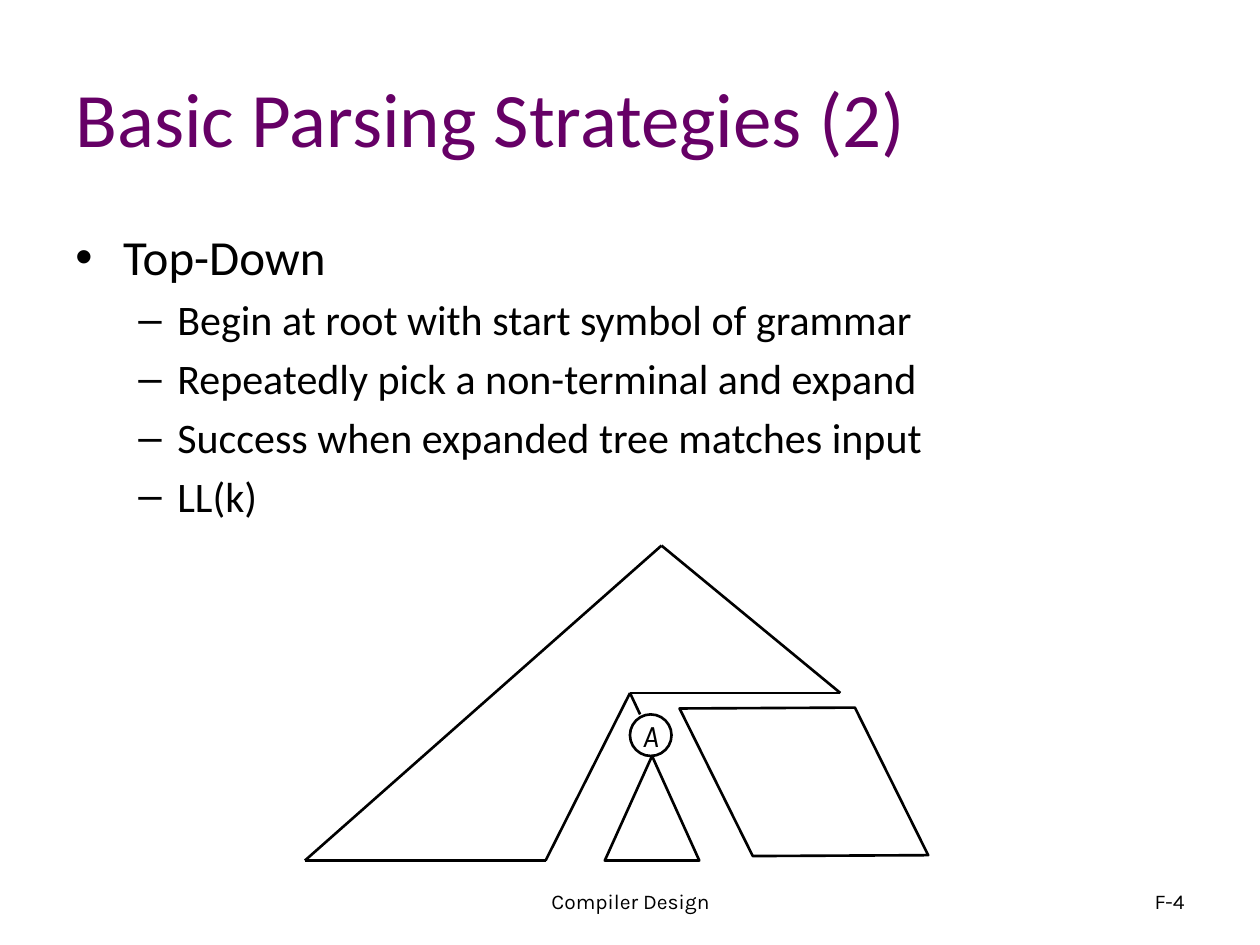
from dataclasses import dataclass
from itertools import pairwise
from lxml.etree import SubElement
from pptx import Presentation
from pptx.dml.color import RGBColor
from pptx.enum.shapes import MSO_CONNECTOR, MSO_SHAPE
from pptx.enum.text import MSO_ANCHOR, PP_ALIGN
from pptx.oxml.ns import qn
from pptx.util import Inches, Pt


@dataclass(frozen=True)
class Theme:
    ink: RGBColor = RGBColor(0x00, 0x00, 0x00)
    plum: RGBColor = RGBColor(0x66, 0x00, 0x66)
    main: str = "Calibri"
    side: str = "Karla"
    title: int = 44
    head: int = 28
    item: int = 24
    node: int = 18
    foot: int = 12
    line: float = 1.5


def write(para, text, font, size, color, italic=False, align=PP_ALIGN.LEFT):
    para.alignment = align
    run = para.add_run()
    run.text = text
    run.font.name = font
    run.font.size = Pt(size)
    run.font.color.rgb = color
    run.font.italic = italic


class Board:
    def __init__(self, slide, theme):
        self.slide = slide
        self.theme = theme

    def frame(self, left, top, width, height, anchor):
        box = self.slide.shapes.add_textbox(
            Inches(left), Inches(top), Inches(width), Inches(height))
        box.text_frame.word_wrap = True
        box.text_frame.vertical_anchor = anchor
        return box.text_frame

    def label(self, text, place, **form):
        frame = self.frame(*place, MSO_ANCHOR.MIDDLE)
        write(frame.paragraphs[0], text, **form)

    def bullets(self, items, place):
        theme = self.theme
        levels = [("•", 0.38, -0.38, theme.head), ("–", 0.81, -0.31, theme.item)]
        frame = self.frame(*place, MSO_ANCHOR.TOP)
        for index, (level, text) in enumerate(items):
            para = frame.add_paragraph() if index else frame.paragraphs[0]
            mark, margin, indent, size = levels[level]
            para.level = level
            para.space_before = Pt(0.2 * size if index else 0)
            props = para._p.get_or_add_pPr()
            props.set("marL", str(Inches(margin)))
            props.set("indent", str(Inches(indent)))
            SubElement(props, qn("a:buFont"), typeface="Arial")
            SubElement(props, qn("a:buChar"), char=mark)
            write(para, text, font=theme.main, size=size, color=theme.ink)

    def shape(self, kind, left, top, width, height, turn=0, skew=None):
        shape = self.slide.shapes.add_shape(
            kind, Inches(left), Inches(top), Inches(width), Inches(height))
        shape.shadow.inherit = False
        shape.fill.background()
        shape.line.color.rgb = self.theme.ink
        shape.line.width = Pt(self.theme.line)
        shape.rotation = turn
        if skew is not None:
            shape.adjustments[0] = skew
        return shape

    def node(self, text, left, top, size):
        theme = self.theme
        frame = self.shape(MSO_SHAPE.OVAL, left, top, size, size).text_frame
        frame.word_wrap = False
        frame.vertical_anchor = MSO_ANCHOR.MIDDLE
        write(frame.paragraphs[0], text, font=theme.side, size=theme.node,
              color=theme.ink, italic=True, align=PP_ALIGN.CENTER)

    def edge(self, start, end):
        line = self.slide.shapes.add_connector(
            MSO_CONNECTOR.STRAIGHT, *map(Inches, start + end))
        line.line.color.rgb = self.theme.ink
        line.line.width = Pt(self.theme.line)
        SubElement(line._element.spPr, qn("a:effectLst"))


def main():
    deck = Presentation()
    deck.slide_width, deck.slide_height = Inches(10), Inches(7.5)
    theme = Theme()
    board = Board(deck.slides.add_slide(deck.slide_layouts[6]), theme)

    board.label("Basic Parsing Strategies (2)", (0.5, 0.3, 9, 1.25),
                font=theme.main, size=theme.title, color=theme.plum)
    board.bullets([
        (0, "Top-Down"),
        (1, "Begin at root with start symbol of grammar"),
        (1, "Repeatedly pick a non-terminal and expand"),
        (1, "Success when expanded tree matches input"),
        (1, "LL(k)"),
    ], (0.5, 1.75, 9, 4.95))
    foot = dict(font=theme.side, size=theme.foot, color=theme.ink)
    board.label("Compiler Design", (3.42, 6.95, 3.17, 0.4),
                align=PP_ALIGN.CENTER, **foot)
    board.label("F-4", (7.17, 6.95, 2.33, 0.4), align=PP_ALIGN.RIGHT, **foot)

    board.node("A", 5, 5.67, 0.33)
    board.shape(MSO_SHAPE.ISOSCELES_TRIANGLE, 4.8, 6, 0.75, 0.83)
    board.shape(MSO_SHAPE.PARALLELOGRAM, 5.42, 5.58, 1.92, 1.25,
                turn=63.6, skew=0.49)
    fork = (5, 5.5)
    tree = [fork, (4.33, 6.83), (2.42, 6.83), (5.25, 4.33), (6.67, 5.5), fork]
    for start, end in pairwise(tree + [(5.08, 5.67)]):
        board.edge(start, end)

    deck.save("out.pptx")


if __name__ == "__main__":
    main()
